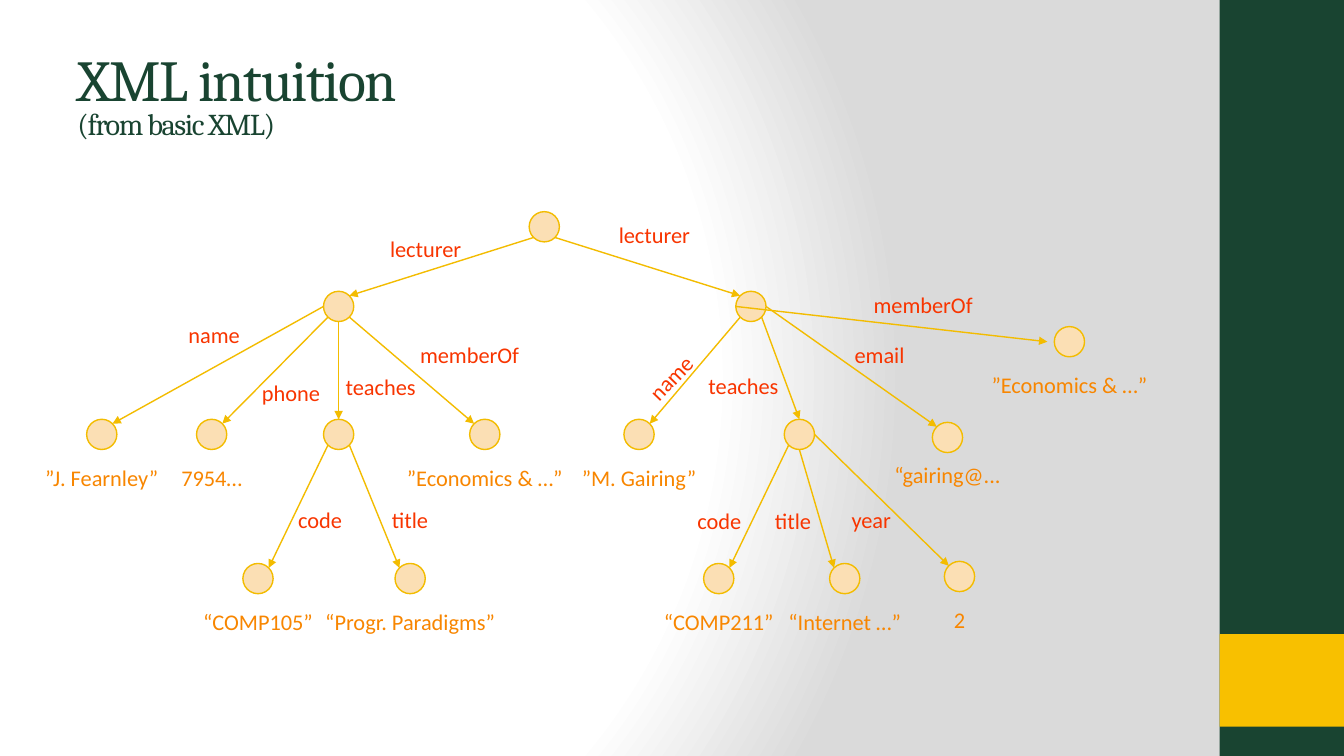
import math
from dataclasses import dataclass

import lxml.etree
import pptx
import pptx.dml.color
import pptx.enum.shapes
import pptx.enum.text
import pptx.oxml
import pptx.oxml.ns
import pptx.shapes.autoshape
import pptx.slide
import pptx.util

Pt = pptx.util.Pt


@dataclass(frozen=True)
class Theme:
    green: str = "194431"
    gold: str = "F8C000"
    line: str = "F3BC00"
    disc: str = "FBDFB4"
    leaf: str = "F88600"
    tag: str = "F83500"
    pale: str = "FFFFFF"
    gray: str = "DADADA"
    serif: str = "Cambria"
    sans: str = "Calibri"
    title: float = 41.4
    subtitle: float = 21.6
    label: float = 16


@dataclass(frozen=True)
class Node:
    """A disc centred at x, y, with its leaf text a drop below the centre."""
    x: float
    y: float
    text: str = ""
    width: float = 0
    drop: float = 17.6


@dataclass(frozen=True)
class Edge:
    """An arrow between rim sites, counted 0 to 7 from the top, leftward."""
    start: str
    leave: int
    end: str
    enter: int
    text: str
    x: float
    y: float
    turn: float = 0
    gap: float = 0


THEME = Theme()
RADIUS = 10.8
HEIGHT = 26.6
TOP, MID, LOW, BASE = 162, 218.9, 310.3, 413.3

NODES = {
    "root": Node(388.8, TOP),
    "left": Node(241.9, MID),
    "right": Node(536.4, MID),
    "john": Node(72.7, LOW, "”J. Fearnley”", 96.5),
    "phone": Node(151.2, LOW, "7954…", 59.8),
    "course": Node(241.9, LOW),
    "group": Node(346.3, LOW, "”Economics & …”", 126.7),
    "martin": Node(456.5, LOW, "”M. Gairing”", 97.2),
    "module": Node(571, LOW),
    "email": Node(676.8, 312.5, "“gairing@...", 91.4, 13),
    "school": Node(763.9, 244.1, "”Economics & …”", 126.7),
    "code": Node(184.3, BASE, "“COMP105”", 94.3),
    "title": Node(293, BASE, "“Progr. Paradigms”", 137.5),
    "number": Node(513.4, BASE, "“COMP211”", 94.3),
    "heading": Node(603.4, BASE, "“Internet …”", 95.8),
    "year": Node(685.4, 411.8, "2", 23),
}

EDGES = [
    Edge("root", 3, "left", 7, "lecturer", 304.6, 177.5),
    Edge("root", 5, "right", 1, "lecturer", 468, 167.4),
    Edge("left", 2, "john", 7, "name", 153.4, 239.4),
    Edge("left", 3, "phone", 7, "phone", 208.4, 280.4),
    Edge("left", 4, "course", 0, "teaches", 272.5, 276.1),
    Edge("left", 5, "group", 1, "memberOf", 336.2, 253.1),
    Edge("right", 3, "martin", 7, "name", 479.5, 269.6, turn=314.1),
    Edge("right", 5, "module", 0, "teaches", 531.7, 275.4),
    Edge("right", 6, "email", 1, "email", 628.6, 253.8),
    Edge("right", 2, "school", 2, "memberOf", 660.2, 217.8, gap=5),
    Edge("course", 3, "code", 7, "code", 229, 371.2),
    Edge("course", 5, "title", 1, "title", 293.4, 371.2),
    Edge("module", 3, "number", 7, "code", 514.1, 371.9),
    Edge("module", 4, "heading", 1, "title", 567, 371.9),
    Edge("module", 6, "year", 1, "year", 622.8, 371.2),
]

WIDTHS = {
    "lecturer": 66.2, "name": 51.8, "phone": 56.9, "teaches": 65.5, "memberOf": 86.4,
    "email": 50.4, "code": 46.1, "title": 41, "year": 43.2,
}


def color(code: str) -> pptx.dml.color.RGBColor:
    return pptx.dml.color.RGBColor.from_string(code)


def paint_back(slide: pptx.slide.Slide) -> None:
    """Give the slide a round gradient, white at left and gray at right."""
    slide.background.fill.gradient()
    old = slide.element.xpath(".//p:bgPr/a:gradFill")[0]
    stops = "".join(
        f'<a:gs pos="{place}"><a:srgbClr val="{code}"/></a:gs>'
        for place, code in ((0, THEME.pale), (75000, THEME.pale), (100000, THEME.gray)))
    new = pptx.oxml.parse_xml(
        f'<a:gradFill {pptx.oxml.ns.nsdecls("a")} rotWithShape="1">'
        f'<a:gsLst>{stops}</a:gsLst><a:path path="circle">'
        '<a:fillToRect l="20000" t="50000" r="100000" b="50000"/></a:path></a:gradFill>')
    old.getparent().replace(old, new)


def draw_shape(slide: pptx.slide.Slide, kind: pptx.enum.shapes.MSO_SHAPE, left: float,
               top: float, width: float, height: float,
               fill: str) -> pptx.shapes.autoshape.Shape:
    shape = slide.shapes.add_shape(kind, Pt(left), Pt(top), Pt(width), Pt(height))
    shape.shadow.inherit = False
    shape.fill.solid()
    shape.fill.fore_color.rgb = color(fill)
    shape.line.fill.background()
    return shape


def draw_title(slide: pptx.slide.Slide) -> None:
    frame = slide.shapes.add_textbox(Pt(48.2), Pt(25.9), Pt(800), Pt(90)).text_frame
    frame.word_wrap = True
    frame.vertical_anchor = pptx.enum.text.MSO_ANCHOR.MIDDLE
    para = frame.paragraphs[0]
    para.line_spacing = 0.8
    para.font.name = THEME.serif
    para.font.color.rgb = color(THEME.green)
    for text, size in (("XML intuition", THEME.title), ("(from basic XML)", THEME.subtitle)):
        if para.runs:
            para.add_line_break()
        run = para.add_run()
        run.text = text
        run.font.size = Pt(size)
        run._r.get_or_add_rPr().set("spc", "-100")


def draw_text(slide: pptx.slide.Slide, text: str, x: float, y: float, width: float,
              ink: str, align: pptx.enum.text.PP_ALIGN, turn: float = 0) -> None:
    """Write one line in a box centred at x, y."""
    box = slide.shapes.add_textbox(
        Pt(x - width / 2), Pt(y - HEIGHT / 2), Pt(width), Pt(HEIGHT))
    box.rotation = turn
    frame = box.text_frame
    frame.word_wrap = False
    frame.auto_size = pptx.enum.text.MSO_AUTO_SIZE.SHAPE_TO_FIT_TEXT
    para = frame.paragraphs[0]
    para.text = text
    para.alignment = align
    para.font.name = THEME.sans
    para.font.size = Pt(THEME.label)
    para.font.color.rgb = color(ink)


def draw_node(slide: pptx.slide.Slide, node: Node) -> None:
    disc = draw_shape(slide, pptx.enum.shapes.MSO_SHAPE.OVAL, node.x - RADIUS,
                      node.y - RADIUS, 2 * RADIUS, 2 * RADIUS, THEME.disc)
    disc.line.color.rgb = color(THEME.line)
    disc.line.width = Pt(1)
    if node.text:
        draw_text(slide, node.text, node.x, node.y + node.drop + HEIGHT / 2, node.width,
                  THEME.leaf, pptx.enum.text.PP_ALIGN.CENTER)


def find_site(node: Node, site: int, gap: float = 0) -> tuple[Pt, Pt]:
    """Return the point of a rim site, moved out by the gap."""
    angle = site * math.pi / 4
    reach = RADIUS + gap
    return Pt(node.x - reach * math.sin(angle)), Pt(node.y - reach * math.cos(angle))


def draw_edge(slide: pptx.slide.Slide, edge: Edge) -> None:
    arrow = slide.shapes.add_connector(
        pptx.enum.shapes.MSO_CONNECTOR.STRAIGHT,
        *find_site(NODES[edge.start], edge.leave),
        *find_site(NODES[edge.end], edge.enter, edge.gap))
    arrow.line.color.rgb = color(THEME.line)
    arrow.line.width = Pt(1)
    qn = pptx.oxml.ns.qn
    props = arrow.element.spPr
    lxml.etree.SubElement(props.find(qn("a:ln")), qn("a:tailEnd"), type="triangle")
    lxml.etree.SubElement(props, qn("a:effectLst"))
    draw_text(slide, edge.text, edge.x, edge.y, WIDTHS[edge.text], THEME.tag,
              pptx.enum.text.PP_ALIGN.LEFT, edge.turn)


def main() -> None:
    deck = pptx.Presentation()
    deck.slide_width, deck.slide_height = Pt(960), Pt(540)
    slide = deck.slides.add_slide(deck.slide_layouts[6])
    paint_back(slide)
    for top, height, fill in ((0, 540, THEME.green), (452.9, 66.2, THEME.gold)):
        draw_shape(slide, pptx.enum.shapes.MSO_SHAPE.RECTANGLE, 871.2, top, 88.8, height, fill)
    draw_title(slide)
    for node in NODES.values():
        draw_node(slide, node)
    for edge in EDGES:
        draw_edge(slide, edge)
    deck.save("out.pptx")


if __name__ == "__main__":
    main()
